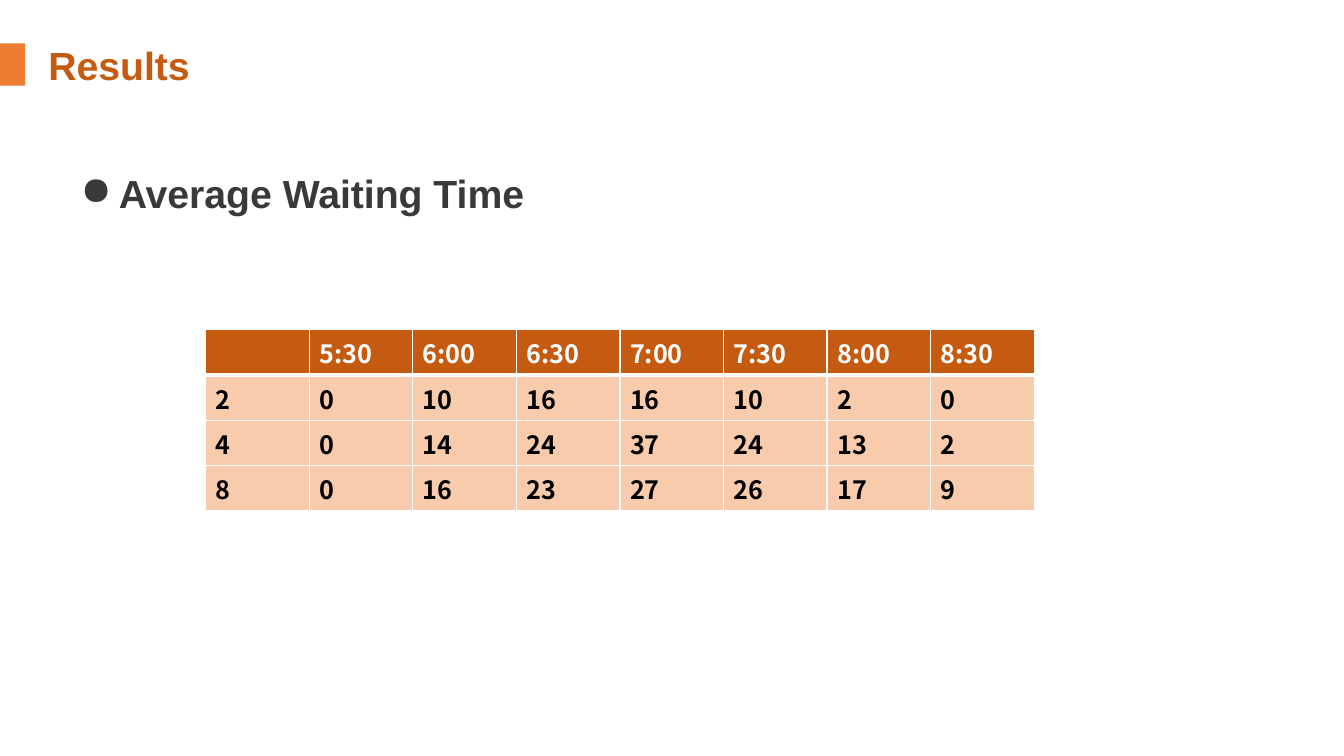
from lxml import etree
from pptx import Presentation
from pptx.dml.color import RGBColor
from pptx.enum.shapes import MSO_SHAPE
from pptx.enum.text import MSO_ANCHOR
from pptx.oxml.ns import qn
from pptx.util import Inches, Pt

RECTANGLE = MSO_SHAPE.RECTANGLE
MIDDLE = MSO_ANCHOR.MIDDLE
ORANGE, RUST, PEACH = "ED7D31", "C55A11", "F8CBAD"
CHARCOAL, BLACK, WHITE = "3B3838", "000000", "FFFFFF"
WAITING_TIMES = [
    ["", "5:30", "6:00", "6:30", "7:00", "7:30", "8:00", "8:30"],
    ["2", "0", "10", "16", "16", "10", "2", "0"],
    ["4", "0", "14", "24", "37", "24", "13", "2"],
    ["8", "0", "16", "23", "27", "26", "17", "9"],
]


def rgb(value):
    """Turn a hex string into a colour."""
    return RGBColor.from_string(value)


def add_xml(parent, tag, **attrs):
    """Append a drawing element and return it."""
    return etree.SubElement(parent, qn(tag), attrs)


def write(tf, text, size, font, color):
    """Set bold text in one paragraph and return the paragraph."""
    tf.text = text
    p = tf.paragraphs[0]
    for r in p.runs:
        r.font.size = Pt(size)
        r.font.name = font
        r.font.bold = True
        r.font.color.rgb = rgb(color)
    return p


def add_heading(s, left, top, width, height):
    """Place the accent block and the slide title beside it."""
    block = s.shapes.add_shape(RECTANGLE, Inches(left), Inches(top),
                               Inches(0.25), Inches(height))
    block.shadow.inherit = False
    block.fill.solid()
    block.fill.fore_color.rgb = rgb(ORANGE)
    block.line.fill.background()
    title = s.shapes.add_textbox(Inches(left + 0.48), Inches(top),
                                 Inches(width - 0.48), Inches(height))
    tf = title.text_frame
    tf.word_wrap = True
    tf.vertical_anchor = MIDDLE
    tf.margin_left = tf.margin_right = 0
    write(tf, "Results", 28, "Arial", RUST)


def add_bullet(s, left, top, width, height):
    """Place the bulleted topic line."""
    box = s.shapes.add_textbox(Inches(left), Inches(top),
                               Inches(width), Inches(height))
    tf = box.text_frame
    tf.word_wrap = True
    p = write(tf, "Average Waiting Time", 28, "Arial", CHARCOAL)
    pPr = p._p.get_or_add_pPr()
    indent = Inches(0.38)
    pPr.set("marL", str(indent))
    pPr.set("indent", str(-indent))
    add_xml(add_xml(pPr, "a:spcBef"), "a:spcPct", val="20000")
    add_xml(pPr, "a:buChar", char="●")


def add_borders(cell, top, bottom):
    """Draw white cell borders with the given top and bottom widths."""
    tcPr = cell._tc.get_or_add_tcPr()
    widths = {"a:lnL": 1, "a:lnR": 1, "a:lnT": top, "a:lnB": bottom}
    for tag, width in widths.items():
        ln = add_xml(tcPr, tag, w=str(Pt(width)))
        add_xml(add_xml(ln, "a:solidFill"), "a:srgbClr", val=WHITE)


def add_waiting_table(s, left, top, width, height):
    """Place the table of waiting times by hour."""
    rows, cols = len(WAITING_TIMES), len(WAITING_TIMES[0])
    table = s.shapes.add_table(rows, cols, Inches(left), Inches(top),
                               Inches(width), Inches(height)).table
    for i, values in enumerate(WAITING_TIMES):
        fill, color = (RUST, WHITE) if i == 0 else (PEACH, BLACK)
        for j, value in enumerate(values):
            cell = table.cell(i, j)
            write(cell.text_frame, value, 18, "Noto Sans CJK SC", color)
            add_borders(cell, 3 if i == 1 else 1, 3 if i == 0 else 1)
            cell.fill.solid()
            cell.fill.fore_color.rgb = rgb(fill)


def main():
    """Build and save the results slide."""
    prs = Presentation()
    prs.slide_width, prs.slide_height = Inches(13.33), Inches(7.5)
    s = prs.slides.add_slide(prs.slide_layouts[6])
    add_heading(s, 0, 0.43, 2.81, 0.42)
    add_bullet(s, 0.7, 1.63, 5.52, 0.86)
    add_waiting_table(s, 2.04, 3.27, 8.22, 1.8)
    prs.save("out.pptx")


if __name__ == "__main__":
    main()
